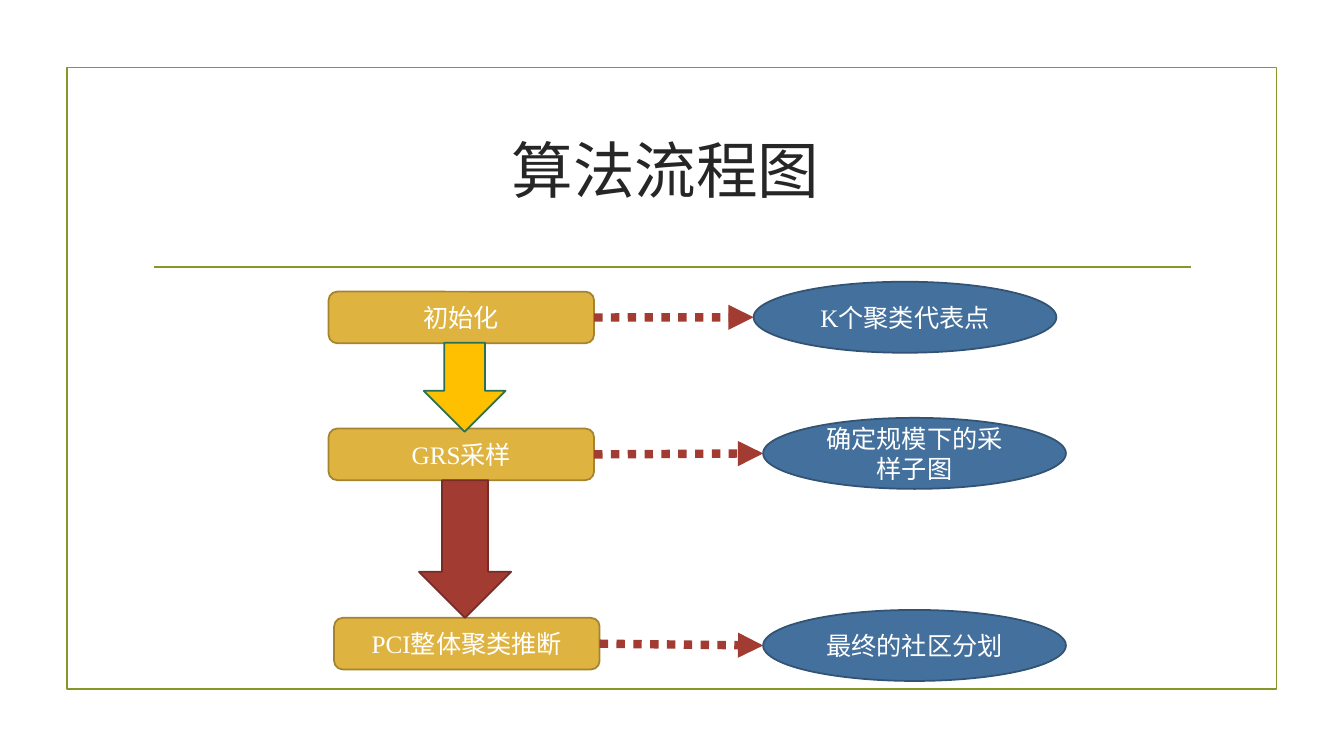
from lxml import etree
from pptx import Presentation
from pptx import util as u
from pptx.dml.color import RGBColor
from pptx.enum import dml, shapes, text
from pptx.oxml.ns import qn

# Content: each step with its result; left and top in cm
TITLE = "算法流程图"
STEPS = [
    {"step": "初始化", "step_at": (8.28, 7.35),
     "result": "K个聚类代表点", "result_at": (18.99, 7.1)},
    {"step": "GRS采样", "step_at": (8.28, 10.8),
     "result": "确定规模下的采样子图", "result_at": (19.23, 10.53)},
    {"step": "PCI整体聚类推断", "step_at": (8.42, 15.57),
     "result": "最终的社区分划", "result_at": (19.23, 15.37)},
]
DOWN_ARROWS = [  # left, top, width, height, fill, line
    (10.68, 8.64, 2.06, 2.24, "FFC000", "2C7053"),
    (10.56, 12.1, 2.32, 3.47, "A23C33", "782C26"),
]
STEP_SIZE = (6.69, 1.3)
RESULT_SIZE = (7.63, 1.79)
FRAME_BOX = (1.69, 1.7, 30.48, 15.67)
TITLE_BOX = (1.75, 1.65, 30.05, 5.23)
RULE_START, RULE_END = (3.88, 6.73), (30.0, 6.73)
GREEN, RED = "83992A", "A23C33"
LINE_WIDTH = 1.25
TITLE_FORMAT = {"size": u.Pt(44), "name": "Times New Roman", "bold": False}
LABEL_FORMAT = {"size": u.Pt(18), "name": "Times New Roman"}


def color(hex_value):
    return RGBColor.from_string(hex_value)


def write_text(shape, content, font_format, font_color):
    frame = shape.text_frame
    frame.word_wrap = True
    frame.auto_size = text.MSO_AUTO_SIZE.NONE
    frame.vertical_anchor = text.MSO_ANCHOR.MIDDLE
    paragraph = frame.paragraphs[0]
    paragraph.alignment = text.PP_ALIGN.CENTER
    run = paragraph.add_run()
    run.text = content
    for name, value in font_format.items():
        setattr(run.font, name, value)
    run.font.color.rgb = color(font_color)


def add_block(slide, kind, box, fill, line, label=None):
    shape = slide.shapes.add_shape(kind, *map(u.Cm, box))
    shape.shadow.inherit = False
    if fill:
        shape.fill.solid()
        shape.fill.fore_color.rgb = color(fill)
    else:
        shape.fill.background()
    shape.line.color.rgb = color(line)
    shape.line.width = u.Pt(LINE_WIDTH)
    if label:
        write_text(shape, label, LABEL_FORMAT, "FFFFFF")
    return shape


def add_line(slide, start, end, line_color, width):
    connector = slide.shapes.add_connector(
        shapes.MSO_CONNECTOR.STRAIGHT, *map(u.Cm, start + end))
    connector.line.color.rgb = color(line_color)
    connector.line.width = u.Pt(width)
    etree.SubElement(connector._element.spPr, qn("a:effectLst"))
    return connector


def add_dotted_arrow(slide, step, result):
    connector = add_line(slide, (0, 0), (1, 1), RED, 6)
    connector.line.dash_style = dml.MSO_LINE.ROUND_DOT
    line_xml = connector.line._get_or_add_ln()
    line_xml.find(qn("a:prstDash")).set("val", "sysDot")
    etree.SubElement(line_xml, qn("a:tailEnd"), type="triangle")
    connector.begin_connect(step, 3)
    # An ellipse has eight sites; number 2 is its left point
    connector.end_connect(result, 2)
    connector.end_x = result.left
    connector.end_y = result.top + result.height // 2


def main():
    presentation = Presentation()
    presentation.slide_width = u.Inches(13.333)
    presentation.slide_height = u.Inches(7.5)
    slide = presentation.slides.add_slide(presentation.slide_layouts[5])

    # Frame, rule and title
    add_block(slide, shapes.MSO_SHAPE.RECTANGLE, FRAME_BOX, None, GREEN)
    add_line(slide, RULE_START, RULE_END, GREEN, LINE_WIDTH)
    title = slide.shapes.title
    for name, value in zip(("left", "top", "width", "height"), TITLE_BOX):
        setattr(title, name, u.Cm(value))
    write_text(title, TITLE, TITLE_FORMAT, "262626")

    # Steps, results and the dotted arrows between them
    for row in STEPS:
        step = add_block(slide, shapes.MSO_SHAPE.ROUNDED_RECTANGLE,
                         row["step_at"] + STEP_SIZE, "DEB340", "A4842F", row["step"])
        result = add_block(slide, shapes.MSO_SHAPE.OVAL,
                           row["result_at"] + RESULT_SIZE, "44709D", "325374", row["result"])
        add_dotted_arrow(slide, step, result)

    # Block arrows from step to step
    for *box, fill, line in DOWN_ARROWS:
        add_block(slide, shapes.MSO_SHAPE.DOWN_ARROW, box, fill, line)

    presentation.save("out.pptx")


if __name__ == "__main__":
    main()
